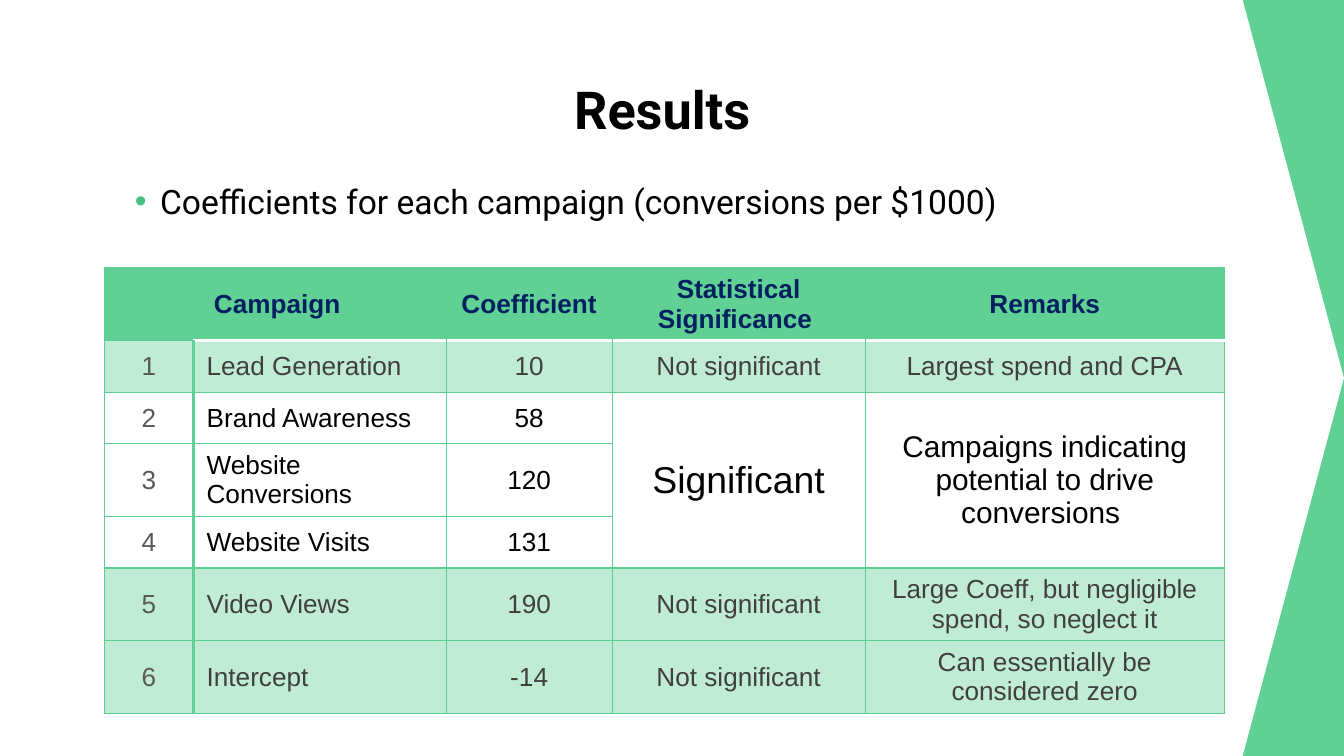
from lxml import etree
from pptx import Presentation, oxml
from pptx.dml.color import RGBColor
from pptx.enum import shapes, text
from pptx.util import Pt

# Content
TITLE = "Results"
SUBTITLE = "Coefficients for each campaign (conversions per $1000)"
HEADER = ["", " Campaign", "Coefficient", "Statistical Significance ", "Remarks"]
CAMPAIGNS = [
    ("Lead Generation", "10", "Not significant", "Largest spend and CPA"),
    ("Brand Awareness", "58", "Significant",
     "Campaigns indicating potential to drive conversions "),
    ("Website Conversions", "120", "", ""),
    ("Website Visits", "131", "", ""),
    ("Video Views", "190", "Not significant",
     "Large Coeff, but negligible spend, so neglect it"),
    ("Intercept", "-14", "Not significant", "Can essentially be considered zero"),
]
SIGNIFICANT_ROWS = range(2, 5)
MERGED_SIZES = {3: 20, 4: 16}
COLUMN_WIDTHS = [47.5, 135.5, 89, 135.5, 192.5]
ROW_HEIGHTS = [39, 27.6, 27.6, 39, 27.6, 39, 39]

GREEN = RGBColor(0x61, 0xD0, 0x95)
PALE_GREEN = RGBColor(0xC0, 0xEC, 0xD5)
GRID_GREEN = RGBColor(0x5C, 0xCE, 0x92)
BULLET_GREEN = RGBColor(0x48, 0xBF, 0x84)
NAVY = RGBColor(0x00, 0x20, 0x60)
DARK_GREY = RGBColor(0x40, 0x40, 0x40)
GREY = RGBColor(0x59, 0x59, 0x59)
BLACK = RGBColor(0, 0, 0)
WHITE = RGBColor(0xFF, 0xFF, 0xFF)


def add_child(parent, tag, **attributes):
    child = etree.SubElement(parent, oxml.ns.qn(tag))
    for key, value in attributes.items():
        child.set(key, str(value))
    return child


def write(paragraph, words, font, size, color, bold=False):
    run = paragraph.add_run()
    run.text = words
    run.font.name, run.font.size, run.font.bold = font, Pt(size), bold
    run.font.color.rgb = color


def place(placeholder, left, top, width, height, anchor):
    placeholder.left, placeholder.top = Pt(left), Pt(top)
    placeholder.width, placeholder.height = Pt(width), Pt(height)
    frame = placeholder.text_frame
    frame.margin_left = frame.margin_right = Pt(7.2)
    frame.margin_top = frame.margin_bottom = Pt(7.2)
    frame.word_wrap = True
    frame.auto_size = text.MSO_AUTO_SIZE.NONE
    frame.vertical_anchor = anchor
    return frame.paragraphs[0]


def set_borders(cell, row, column):
    thin = (GRID_GREEN, 0.75)
    borders = {"L": thin, "R": thin, "T": thin, "B": thin}
    if row == 0:
        if column > 0:
            borders.update(L=(GREEN, 0.75), B=(WHITE, 2))
        if column < len(HEADER) - 1:
            borders["R"] = (GREEN, 0.75)
    else:
        if row == 1 and column > 0:
            borders["T"] = (WHITE, 2)
        if column < 2:
            borders["L" if column else "R"] = (GREEN, 2)
    properties = cell._tc.get_or_add_tcPr()
    for side, (color, width) in borders.items():
        line = add_child(properties, "a:ln" + side, w=int(Pt(width)))
        add_child(add_child(line, "a:solidFill"), "a:srgbClr", val=color)


deck = Presentation()
deck.slide_width, deck.slide_height = Pt(720), Pt(405)
slide = deck.slides.add_slide(deck.slide_layouts[0])

# Green background with a white arrow-shaped panel behind the text
slide.background.fill.solid()
slide.background.fill.fore_color.rgb = GREEN
panel = slide.shapes.add_shape(shapes.MSO_SHAPE.PENTAGON, 0, 0, Pt(720), Pt(405))
panel.adjustments[0] = 0.134
panel.shadow.inherit = False
panel.fill.solid()
panel.fill.fore_color.rgb = WHITE
panel.line.fill.background()
slide.shapes._spTree.insert(2, panel._element)

# Title
heading = place(slide.shapes.title, 51, 35.5, 607.5, 45, text.MSO_ANCHOR.MIDDLE)
heading.alignment = text.PP_ALIGN.CENTER
write(heading, TITLE, "Roboto", 28, BLACK, True)

# Bulleted subtitle
subtitle = place(slide.placeholders[1], 56, 86.5, 607.5, 39, text.MSO_ANCHOR.TOP)
subtitle.alignment = text.PP_ALIGN.LEFT
subtitle.line_spacing = 1.15
subtitle.space_before = Pt(0)
bullet = subtitle._p.get_or_add_pPr()
bullet.set("marL", str(int(Pt(22.5))))
bullet.set("indent", str(int(Pt(-13.5))))
add_child(add_child(bullet, "a:buClr"), "a:srgbClr", val=BULLET_GREEN)
add_child(bullet, "a:buFont", typeface="Arial")
add_child(bullet, "a:buChar", char="•")
write(subtitle, SUBTITLE, "Roboto", 18, BLACK)

# Results table
rows = [HEADER] + [(str(n), *campaign) for n, campaign in enumerate(CAMPAIGNS, 1)]
results = slide.shapes.add_table(
    len(rows), len(HEADER), Pt(56), Pt(143.6),
    Pt(sum(COLUMN_WIDTHS)), Pt(sum(ROW_HEIGHTS))).table
results.horz_banding = False
for column, width in zip(results.columns, COLUMN_WIDTHS):
    column.width = Pt(width)
for row, height in zip(results.rows, ROW_HEIGHTS):
    row.height = Pt(height)

for r, row in enumerate(rows):
    highlighted = r in SIGNIFICANT_ROWS
    row_fill = GREEN if r == 0 else WHITE if highlighted else PALE_GREEN
    row_color = NAVY if r == 0 else BLACK if highlighted else DARK_GREY
    for c, words in enumerate(row):
        cell = results.cell(r, c)
        set_borders(cell, r, c)
        cell.fill.solid()
        cell.fill.fore_color.rgb = row_fill
        cell.vertical_anchor = text.MSO_ANCHOR.MIDDLE
        if words:
            paragraph = cell.text_frame.paragraphs[0]
            paragraph.alignment = (
                text.PP_ALIGN.LEFT if c == 1 else text.PP_ALIGN.CENTER)
            size = MERGED_SIZES.get(c, 14) if highlighted else 14
            color = GREY if c == 0 else row_color
            write(paragraph, words, "Arial", size, color, r == 0)

# One verdict and one remark cover all significant campaigns
for c in MERGED_SIZES:
    results.cell(SIGNIFICANT_ROWS[0], c).merge(results.cell(SIGNIFICANT_ROWS[-1], c))

deck.save("out.pptx")
